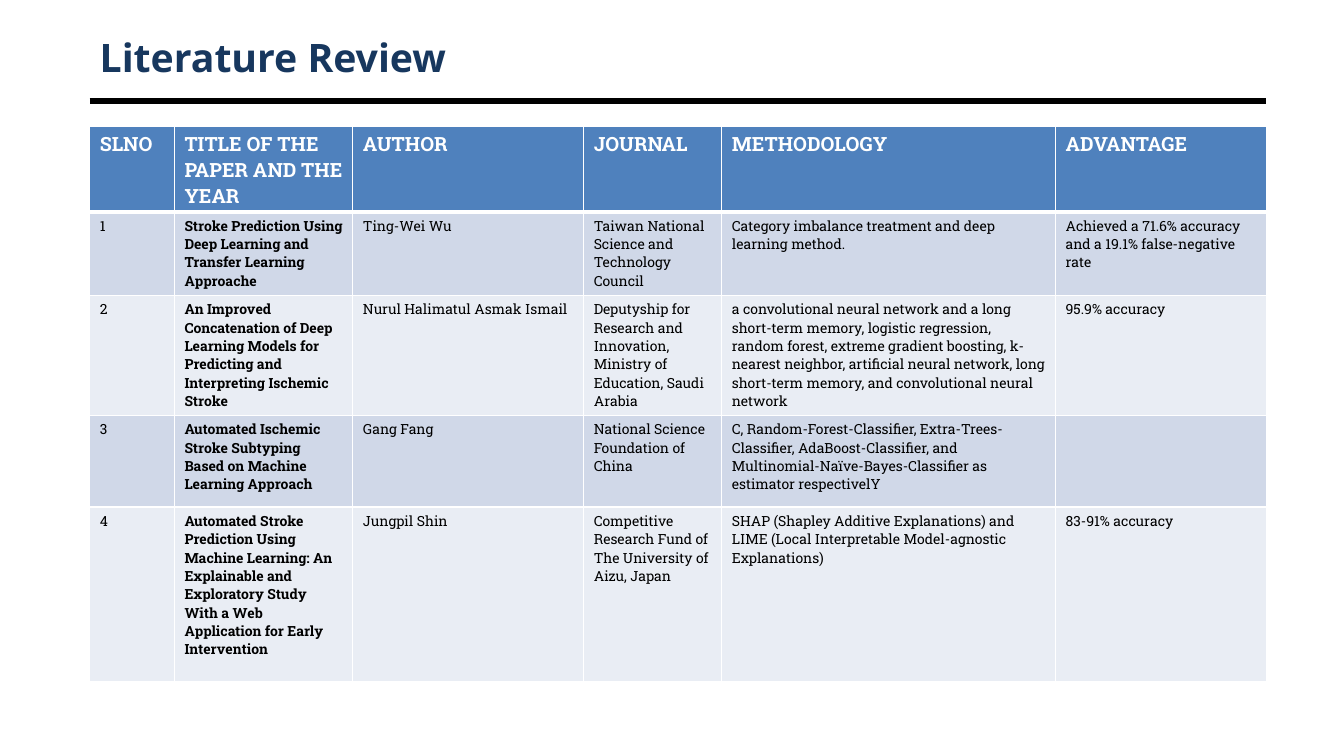
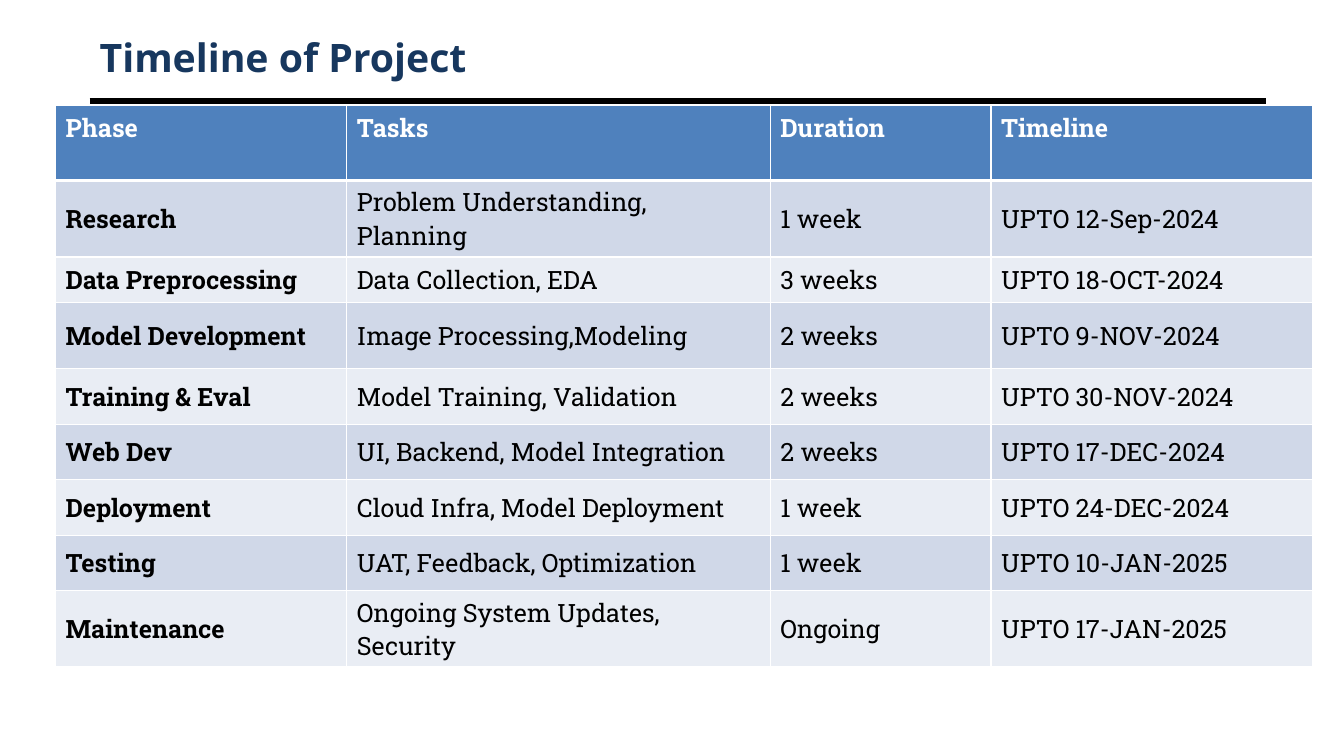
from dataclasses import dataclass

from lxml import etree
from pptx import Presentation
from pptx.dml.color import RGBColor
from pptx.enum.shapes import MSO_CONNECTOR
from pptx.enum.text import MSO_ANCHOR
from pptx.oxml.ns import qn
from pptx.slide import Slide
from pptx.table import _Cell
from pptx.text.text import _Paragraph
from pptx.util import Pt

STRAIGHT = MSO_CONNECTOR.STRAIGHT
TOP, MIDDLE = MSO_ANCHOR.TOP, MSO_ANCHOR.MIDDLE
EMU_PER_PX = 9144  # 100 px to the inch
SLIDE_WIDTH, SLIDE_HEIGHT = 1333, 750
CONTENT_LEFT, CONTENT_WIDTH = 89, 1167
TITLE_TOP, TITLE_HEIGHT = 30, 53
RULE_TOP = 100


@dataclass(frozen=True)
class Theme:
    title_font: str = "Open Sans"
    body_font: str = "Roboto Slab"
    title_size: int = 28
    rule_width: float = 4.5
    grid_width: int = 1
    header_rule_width: int = 3
    title: str = "17375E"
    rule: str = "000000"
    grid: str = "FFFFFF"
    header_fill: str = "4F81BD"
    header_text: str = "FFFFFF"
    body_text: str = "000000"
    bands: tuple[str, str] = ("D0D8E8", "E9EDF4")


THEME = Theme()


@dataclass(frozen=True)
class TableSlide:
    title: str
    left: int
    top: int
    column_widths: list[int]
    row_heights: list[int]
    header_size: int
    body_size: int
    bold_column: int
    body_anchor: MSO_ANCHOR
    rows: list[list[str]]


LITERATURE = TableSlide(
    title="Literature Review",
    left=CONTENT_LEFT,
    top=125,
    column_widths=[84, 177, 229, 137, 331, 209],
    row_heights=[85, 83, 119, 91, 173],
    header_size=14,
    body_size=10,
    bold_column=1,
    body_anchor=TOP,
    rows=[
        ["SLNO", "TITLE OF THE PAPER AND THE YEAR", "AUTHOR", "JOURNAL",
         "METHODOLOGY", "ADVANTAGE"],
        ["1",
         "Stroke Prediction Using Deep Learning and Transfer Learning Approache",
         "Ting-Wei Wu",
         "Taiwan National Science and Technology Council",
         "Category imbalance treatment and deep learning method.",
         "Achieved a 71.6% accuracy and a 19.1% false-negative rate"],
        ["2",
         "An Improved Concatenation of Deep Learning Models for Predicting and "
         "Interpreting Ischemic Stroke",
         "Nurul Halimatul Asmak Ismail",
         "Deputyship for Research and Innovation, Ministry of Education, "
         "Saudi Arabia",
         "a convolutional neural network and a long short-term memory, logistic "
         "regression, random forest, extreme gradient boosting, k-nearest "
         "neighbor, artificial neural network, long short-term memory, and "
         "convolutional neural network",
         "95.9% accuracy"],
        ["3",
         "Automated Ischemic Stroke Subtyping Based on Machine Learning Approach",
         "Gang Fang",
         "National Science Foundation of China",
         "C, Random-Forest-Classifier, Extra-Trees-Classifier, "
         "AdaBoost-Classifier, and Multinomial-Naïve-Bayes-Classifier as "
         "estimator respectivelY",
         ""],
        ["4",
         "Automated Stroke Prediction Using Machine Learning: An Explainable and "
         "Exploratory Study With a Web Application for Early Intervention",
         "Jungpil Shin",
         "Competitive Research Fund of The University of Aizu, Japan",
         "SHAP (Shapley Additive Explanations) and LIME (Local Interpretable "
         "Model-agnostic Explanations)",
         "83-91% accuracy"],
    ],
)

TIMELINE = TableSlide(
    title="Timeline of Project",
    left=55,
    top=105,
    column_widths=[289, 420, 219, 319],
    row_heights=[74, 76, 45, 66, *[55] * 4, 75],
    header_size=18,
    body_size=18,
    bold_column=0,
    body_anchor=MIDDLE,
    rows=[
        ["Phase", "Tasks", "Duration", "Timeline"],
        ["Research", "Problem Understanding, Planning", "1 week",
         "UPTO 12-Sep-2024"],
        ["Data Preprocessing", "Data Collection, EDA", "3 weeks",
         "UPTO 18-OCT-2024"],
        ["Model Development", "Image Processing,Modeling", "2 weeks",
         "UPTO 9-NOV-2024"],
        ["Training & Eval", "Model Training, Validation", "2 weeks",
         "UPTO 30-NOV-2024"],
        ["Web Dev", "UI, Backend, Model Integration", "2 weeks",
         "UPTO 17-DEC-2024"],
        ["Deployment", "Cloud Infra, Model Deployment", "1 week",
         "UPTO 24-DEC-2024"],
        ["Testing", "UAT, Feedback, Optimization", "1 week",
         "UPTO 10-JAN-2025"],
        ["Maintenance", "Ongoing System Updates, Security", "Ongoing",
         "UPTO 17-JAN-2025"],
    ],
)


def px(length: int) -> int:
    return length * EMU_PER_PX


def rgb(color: str) -> RGBColor:
    return RGBColor.from_string(color)


def style_text(paragraph: _Paragraph, font: str, size: int, color: str,
               bold: bool) -> None:
    paragraph.font.name = font
    paragraph.font.size = Pt(size)
    paragraph.font.color.rgb = rgb(color)
    paragraph.font.bold = bold


def add_title(slide: Slide, title: str) -> None:
    """Draw the heading and the rule below it, the same on every slide."""
    rule = slide.shapes.add_connector(
        STRAIGHT, px(CONTENT_LEFT), px(RULE_TOP),
        px(CONTENT_LEFT + CONTENT_WIDTH), px(RULE_TOP))
    rule.line.color.rgb = rgb(THEME.rule)
    rule.line.width = Pt(THEME.rule_width)
    etree.SubElement(rule._element.spPr, qn("a:effectLst"))

    heading = slide.shapes.add_textbox(
        px(CONTENT_LEFT), px(TITLE_TOP), px(CONTENT_WIDTH), px(TITLE_HEIGHT))
    frame = heading.text_frame
    frame.word_wrap = True
    frame.vertical_anchor = MIDDLE
    frame.text = title
    style_text(frame.paragraphs[0], THEME.title_font, THEME.title_size,
               THEME.title, True)


def set_borders(cell: _Cell, top: int, bottom: int) -> None:
    """Give the cell grid lines; must run before the cell is filled."""
    side = THEME.grid_width
    properties = cell._tc.get_or_add_tcPr()
    for tag, width in (("lnL", side), ("lnR", side), ("lnT", top), ("lnB", bottom)):
        line = etree.SubElement(properties, qn(f"a:{tag}"), w=str(Pt(width)))
        fill = etree.SubElement(line, qn("a:solidFill"))
        etree.SubElement(fill, qn("a:srgbClr"), val=THEME.grid)


def fill_cell(cell: _Cell, text: str, row: int, column: int,
              content: TableSlide) -> None:
    is_header = row == 0
    set_borders(
        cell,
        top=THEME.header_rule_width if row == 1 else THEME.grid_width,
        bottom=THEME.header_rule_width if is_header else THEME.grid_width)
    cell.fill.solid()
    cell.fill.fore_color.rgb = rgb(
        THEME.header_fill if is_header else THEME.bands[(row - 1) % 2])
    cell.vertical_anchor = TOP if is_header else content.body_anchor
    cell.text = text
    style_text(
        cell.text_frame.paragraphs[0], THEME.body_font,
        content.header_size if is_header else content.body_size,
        THEME.header_text if is_header else THEME.body_text,
        is_header or column == content.bold_column)


def add_content_table(slide: Slide, content: TableSlide) -> None:
    table = slide.shapes.add_table(
        len(content.rows), len(content.column_widths),
        px(content.left), px(content.top),
        px(sum(content.column_widths)), px(sum(content.row_heights))).table
    for column, width in zip(table.columns, content.column_widths):
        column.width = px(width)
    for row, height in zip(table.rows, content.row_heights):
        row.height = px(height)
    for row_index, texts in enumerate(content.rows):
        for column_index, text in enumerate(texts):
            fill_cell(table.cell(row_index, column_index), text,
                      row_index, column_index, content)


def main() -> None:
    presentation = Presentation()
    presentation.slide_width = px(SLIDE_WIDTH)
    presentation.slide_height = px(SLIDE_HEIGHT)
    blank = presentation.slide_layouts[6]
    for content in (LITERATURE, TIMELINE):
        slide = presentation.slides.add_slide(blank)
        add_title(slide, content.title)
        add_content_table(slide, content)
    presentation.save("out.pptx")


if __name__ == "__main__":
    main()
